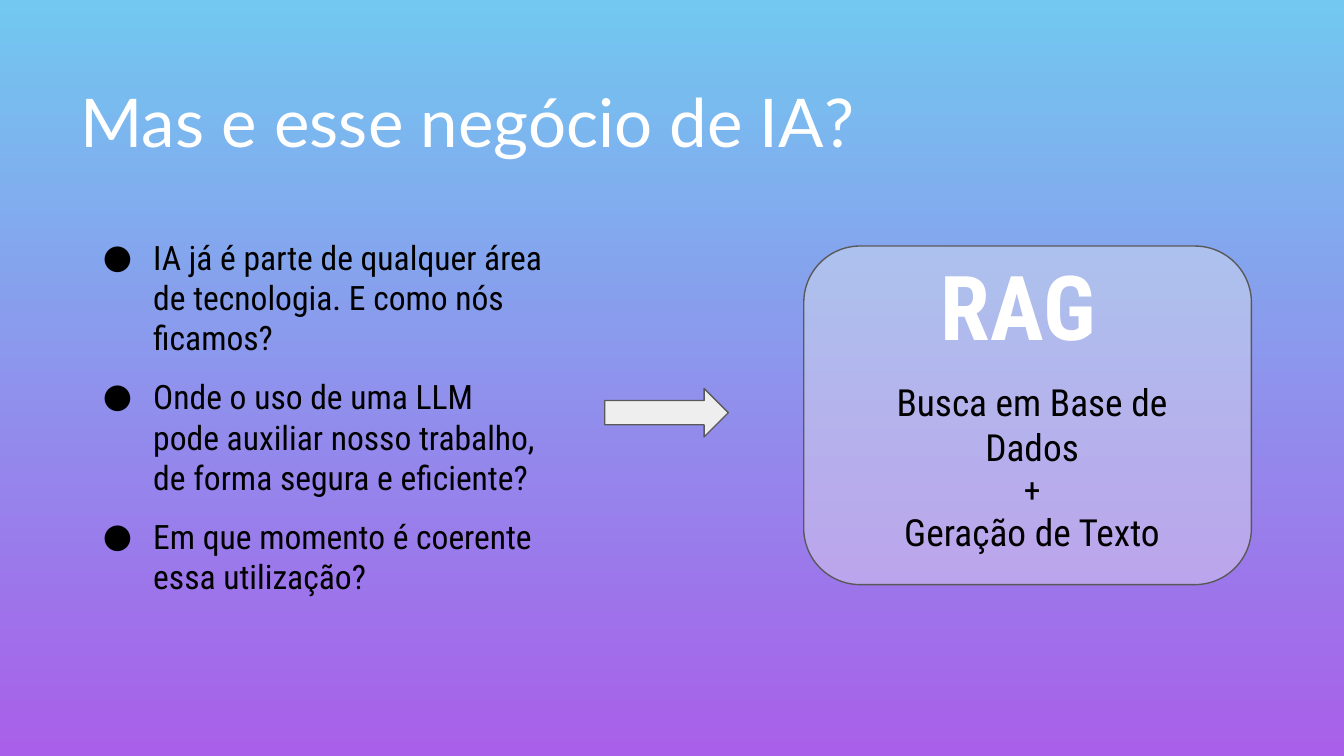
from dataclasses import dataclass

import pptx
import pptx.dml.color
import pptx.enum.shapes
import pptx.enum.text
import pptx.oxml
import pptx.oxml.ns
import pptx.util

Pt = pptx.util.Pt
ALIGN = pptx.enum.text.PP_ALIGN
SHAPES = pptx.enum.shapes.MSO_SHAPE

BLACK, WHITE = "000000", "FFFFFF"
PANEL_FILL, OUTLINE = "EEEEEE", "595959"
BACKGROUND = ("72C8F0", "A95FE9")
TITLE_FONT, BODY_FONT = "Lato", "Roboto Condensed"
INSET = 7.2


@dataclass(frozen=True)
class Box:
    left: float
    top: float
    width: float
    height: float

    def lengths(self) -> tuple:
        return Pt(self.left), Pt(self.top), Pt(self.width), Pt(self.height)


@dataclass(frozen=True)
class Line:
    text: str
    size: float
    font: str = BODY_FONT
    color: str = BLACK
    bold: bool = False


def rgb(value: str) -> pptx.dml.color.RGBColor:
    return pptx.dml.color.RGBColor.from_string(value)


def place(shape, box: Box) -> None:
    shape.left, shape.top, shape.width, shape.height = box.lengths()


def add_bullet(paragraph) -> None:
    properties = paragraph._p.get_or_add_pPr()
    properties.set("marL", str(Pt(36)))
    properties.set("indent", str(-Pt(27)))
    namespace = pptx.oxml.ns.nsdecls("a")
    for xml in (
        f'<a:buClr {namespace}><a:srgbClr val="{BLACK}"/></a:buClr>',
        f'<a:buFont {namespace} typeface="{BODY_FONT}"/>',
        f'<a:buChar {namespace} char="●"/>',
    ):
        properties.append(pptx.oxml.parse_xml(xml))


def write(shape, lines: list[Line], alignment: ALIGN,
          gap: float = 0, bullets: bool = False) -> None:
    frame = shape.text_frame
    frame.word_wrap = True
    frame.auto_size = pptx.enum.text.MSO_AUTO_SIZE.NONE
    frame.vertical_anchor = pptx.enum.text.MSO_ANCHOR.TOP
    frame.margin_left = frame.margin_right = Pt(INSET)
    frame.margin_top = frame.margin_bottom = Pt(INSET)
    frame.text = "\n".join(line.text for line in lines)
    for index, (paragraph, line) in enumerate(zip(frame.paragraphs, lines)):
        paragraph.alignment = alignment
        paragraph.space_before = Pt(gap if index else 0)
        if bullets:
            add_bullet(paragraph)
        for run in paragraph.runs:
            run.font.name = line.font
            run.font.size = Pt(line.size)
            run.font.bold = line.bold
            run.font.color.rgb = rgb(line.color)


def add_outlined_shape(slide, kind: SHAPES, box: Box):
    shape = slide.shapes.add_shape(kind, *box.lengths())
    shape.shadow.inherit = False
    shape.fill.solid()
    shape.fill.fore_color.rgb = rgb(PANEL_FILL)
    shape.line.color.rgb = rgb(OUTLINE)
    shape.line.width = Pt(0.75)
    return shape


def set_opacity(shape, percent: int) -> None:
    color = shape.fill._xPr.find(".//" + pptx.oxml.ns.qn("a:srgbClr"))
    namespace = pptx.oxml.ns.nsdecls("a")
    color.append(pptx.oxml.parse_xml(f'<a:alpha {namespace} val="{percent * 1000}"/>'))


def main() -> None:
    presentation = pptx.Presentation()
    presentation.slide_width, presentation.slide_height = Pt(720), Pt(405)
    slide = presentation.slides.add_slide(presentation.slide_layouts[1])

    # Background gradient, top to bottom
    fill = slide.background.fill
    fill.gradient()
    fill.gradient_angle = 270
    for stop, color in zip(fill.gradient_stops, BACKGROUND):
        stop.color.rgb = rgb(color)

    # Title and questions
    title, questions = slide.placeholders
    place(title, Box(36, 36, 648, 45))
    write(title, [Line("Mas e esse negócio de IA?", 36, TITLE_FONT, WHITE)], ALIGN.LEFT)
    place(questions, Box(38.9, 119.5, 259.2, 211))
    write(questions, [
        Line("IA já é parte de qualquer área de tecnologia. E como nós ficamos?", 18),
        Line("Onde o uso de uma LLM pode auxiliar nosso trabalho, "
             "de forma segura e eficiente?", 18),
        Line("Em que momento é coerente essa utilização?", 18),
    ], ALIGN.LEFT, gap=10, bullets=True)

    # Arrow to the answer panel
    add_outlined_shape(slide, SHAPES.RIGHT_ARROW, Box(324, 208.1, 66.2, 26))
    panel = add_outlined_shape(slide, SHAPES.ROUNDED_RECTANGLE, Box(430.6, 131.8, 239.8, 181.4))
    set_opacity(panel, 39)

    # Panel heading and explanation
    heading = slide.shapes.add_textbox(*Box(488.2, 127.4, 114.5, 41).lengths())
    write(heading, [Line("RAG", 48, color=WHITE, bold=True)], ALIGN.CENTER)
    explanation = slide.shapes.add_textbox(*Box(446.4, 195.8, 213.1, 90.7).lengths())
    write(explanation, [
        Line("Busca em Base de Dados", 20),
        Line("+", 18),
        Line("Geração de Texto", 20),
    ], ALIGN.CENTER)

    presentation.save("out.pptx")


if __name__ == "__main__":
    main()
